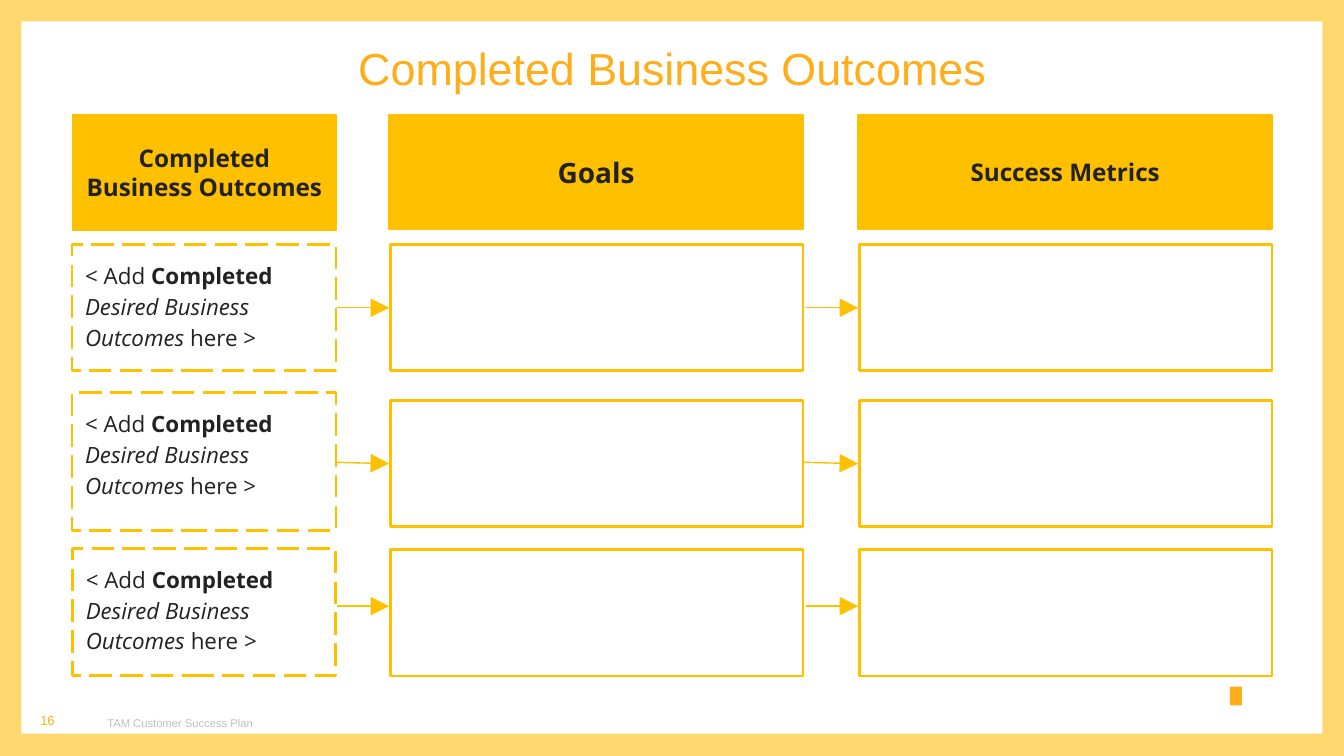
from lxml import etree
from pptx import Presentation
from pptx.dml.color import RGBColor
from pptx.enum.dml import MSO_LINE
from pptx.enum.shapes import MSO_CONNECTOR, MSO_SHAPE
from pptx.enum.text import MSO_ANCHOR, PP_ALIGN
from pptx.oxml.ns import qn
from pptx.util import Pt

RECT = MSO_SHAPE.RECTANGLE
LINE = MSO_CONNECTOR.STRAIGHT
DASH = MSO_LINE.LONG_DASH
TOP, MID, LOW = MSO_ANCHOR.TOP, MSO_ANCHOR.MIDDLE, MSO_ANCHOR.BOTTOM
LEFT, MIDST = PP_ALIGN.LEFT, PP_ALIGN.CENTER

PX = 4572  # 200 px to the inch
HEX = {"back": "FED76E", "page": "FFFFFF", "gold": "FFC000",
       "title": "FFAD1A", "ink": "222222", "gray": "BFBFBF"}
CARD = [("< Add ", {}), ("Completed ", {"bold": True}),
        ("Desired Business Outcomes ", {"italic": True}), ("here >", {})]


def px(*nums):
    return [n * PX for n in nums]


def color(name):
    return RGBColor.from_string(HEX[name])


def write(shape, runs, size, ink="ink", face="Open Sans", anchor=TOP,
          align=LEFT, pad=(20, 20, 20, 20), space=1.0):
    frame = shape.text_frame
    left, top, right, low = px(*pad)
    look = {"word_wrap": True, "vertical_anchor": anchor, "margin_left": left,
            "margin_top": top, "margin_right": right, "margin_bottom": low}
    for key, value in look.items():
        setattr(frame, key, value)
    para = frame.paragraphs[0]
    para.alignment, para.line_spacing = align, space
    for text, style in runs:
        run = para.add_run()
        run.text = text
        form = {"name": face, "size": Pt(size), "bold": False, "italic": False}
        for key, value in {**form, **style}.items():
            setattr(run.font, key, value)
        run.font.color.rgb = color(ink)
    return para


def bullet(shape):
    """Start an open list: a bullet with no words yet."""
    props = write(shape, [], 12)._p.get_or_add_pPr()
    step, = px(36)
    props.set("marL", str(step))
    props.set("indent", str(-step))
    tint = etree.SubElement(props, qn("a:buClr"))
    etree.SubElement(tint, qn("a:srgbClr"), val=HEX["ink"])
    etree.SubElement(props, qn("a:buFont"), typeface="Arial")
    etree.SubElement(props, qn("a:buChar"), char="•")
    etree.SubElement(props.getparent(), qn("a:endParaRPr"), sz="1200")


def label(slide, box, text, size, **form):
    shape = slide.shapes.add_textbox(*px(*box))
    write(shape, [(text, {})], size, face="Arial", **form)


def block(slide, box, fill=None, line=None, width=1.5, dash=None):
    shape = slide.shapes.add_shape(RECT, *px(*box))
    shape.shadow.inherit = False
    if fill:
        shape.fill.solid()
        shape.fill.fore_color.rgb = color(fill)
    else:
        shape.fill.background()
    if line:
        shape.line.color.rgb = color(line)
        shape.line.width = Pt(width)
        if dash:
            shape.line.dash_style = dash
    else:
        shape.line.fill.background()
    return shape


def arrow(slide, start, end):
    link = slide.shapes.add_connector(LINE, *px(*start, *end))
    link.line.color.rgb = color("gold")
    link.line.width = Pt(0.75)
    props = link.line._get_or_add_ln()
    etree.SubElement(props, qn("a:tailEnd"), type="triangle", w="lg", len="lg")
    etree.SubElement(props.getparent(), qn("a:effectLst"))


def header(slide, box, text, size):
    shape = block(slide, box, "gold", "gold", 0.75)
    write(shape, [(text, {"bold": True})], size, anchor=MID, align=MIDST)


def outcome(slide, box, card, drop, mid, gap, listed):
    """One row: dashed card, then goal and metric boxes fed by arrows."""
    x, y, w, h = box
    wide, tall = card
    side, cell = 393, 614
    shape = block(slide, (x + side - wide, y, wide, tall), None, "gold", dash=DASH)
    write(shape, CARD, 12, space=1.15)
    goals, metric = x + 474, x + w - cell
    parts = [block(slide, (left, y + drop, cell, h), None, "gold")
             for left in (goals, metric)]
    if listed:
        bullet(parts[0])
    for edge, tip in ((x + side, goals - 2), (goals + cell + 2, metric - 2)):
        arrow(slide, (edge + gap, y + mid[0]), (tip, y + mid[1]))


def footer(slide, box):
    x, y, w, h = box
    label(slide, (x + 140, y, 1464, h), "TAM Customer Success Plan", 6,
          ink="gray", anchor=LOW, pad=(20, 0, 20, 60))
    label(slide, (x, y, 140, h), "16", 7, ink="title", anchor=LOW,
          pad=(60, 0, 40, 60))
    # Plain brand mark
    block(slide, (x + w - 170, y - 16, 18, 28), "title")


def main():
    deck = Presentation()
    deck.slide_width, deck.slide_height = px(2000, 1125)
    slide = deck.slides.add_slide(deck.slide_layouts[6])

    # Page and frame
    back = slide.background.fill
    back.solid()
    back.fore_color.rgb = color("back")
    block(slide, (32, 32, 1936, 1060), "page")
    footer(slide, (0, 1038, 2000, 88))

    # Title
    label(slide, (0, 0, 2000, 144), "Completed Business Outcomes", 24,
          ink="title", align=MIDST, pad=(120, 70, 120, 0), space=0.9)

    # Column headers
    header(slide, (108, 171, 392, 172), "Completed Business Outcomes", 13)
    header(slide, (579, 171, 616, 170), "Goals", 15)
    header(slide, (1277, 171, 616, 170), "Success Metrics", 13)

    # Rows: top, card size, box drop, arrow heights, arrow gap, list started
    rows = [(364, (393, 188), 0, (94, 94), 2, True),
            (584, (393, 206), 12, (104, 106), -2, False),
            (816, (392, 189), 2, (86, 86), 2, False)]
    for top, *rest in rows:
        outcome(slide, (107, top, 1786, 188), *rest)

    deck.save("out.pptx")


if __name__ == "__main__":
    main()
